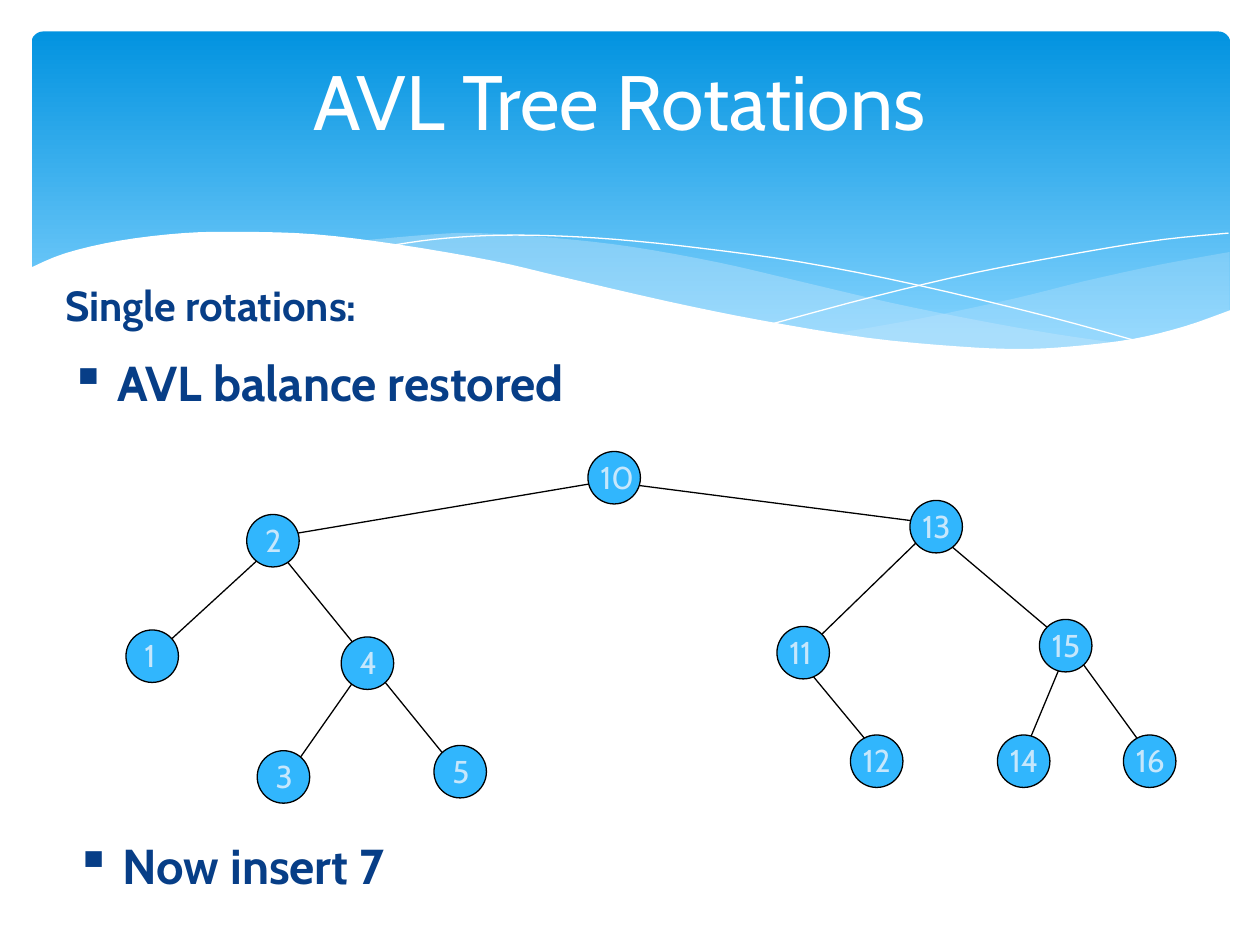
import pptx
import pptx.dml.color
import pptx.enum.shapes
import pptx.enum.text
import pptx.oxml
import pptx.oxml.ns
import pptx.util

Pt = pptx.util.Pt
Anchor = pptx.enum.text.MSO_ANCHOR
Align = pptx.enum.text.PP_ALIGN
Shapes = pptx.enum.shapes.MSO_SHAPE

FONT = "Cabin"
COLORS = {
    "sky_top": "0293E0",
    "sky_bottom": "83D3FE",
    "pale": "C6E7FC",
    "white": "FFFFFF",
    "navy": "073E87",
    "node": "31B6FD",
    "black": "000000",
}

# Banner curves, in points from the banner's top left corner
WAVE = [(-1.4, 135.4), (19.4, 126.7), (50.4, 119.5), (87, 115.2), (121, 114.5),
        (162, 115.9), (209.5, 121.7), (263.5, 131), (303.8, 140.4), (363, 154.1),
        (416.2, 164.9), (477.4, 175), (530, 180), (564.5, 181.4), (594, 180),
        (629.3, 175.7), (658.8, 168.5), (685.4, 159.1)]
LONG_BAND_TOP = [(188, 119.5), (229.7, 115.9), (255.6, 115.2), (300.2, 118.1),
                 (343.4, 123.1), (391.7, 131.8), (435, 141.8), (490.3, 154.8),
                 (540, 164.9), (584.6, 172.8), (625, 178.6)]
LONG_BAND_BOTTOM = [(625, 178.6), (599, 181.4), (571, 182.2), (538.6, 181.4),
                    (501.8, 179.3), (450, 172.1), (389.5, 160.6), (335.5, 149),
                    (289.4, 137.5), (242.6, 128.2), (188, 119.5)]
SHORT_BAND_TOP = [(458, 172.8), (507, 164.2), (561.6, 152.6), (602, 142.6),
                  (645, 133.2), (684.7, 126)]
SHORT_BAND_BOTTOM = [(684.7, 159.8), (650.2, 171.4), (616.3, 178.6), (583.2, 181.4),
                     (552, 181.4), (509, 179.3), (458, 172.8)]
FALLING_LINE = [(204.5, 122.4), (229.7, 118.8), (260.6, 116.6), (293.8, 116.6),
                (334, 118.8), (382.3, 123.8), (440, 131.8), (505.4, 144.7),
                (580.3, 162.7), (635, 177.8)]
RISING_LINE = [(423.4, 167), (482.4, 151.2), (540.7, 137.5), (605.5, 125.3),
               (647.3, 118.8), (684, 115.2)]

# Tree parts, in points from the tree's top left corner
NODE_SIZE = 30
NODES = {
    "10": (264, 0), "13": (448, 28), "15": (522, 96), "2": (69, 36),
    "11": (372, 100), "1": (0, 102), "4": (123, 106), "5": (176, 168),
    "12": (414, 162), "14": (498, 162), "16": (570, 162), "3": (75, 171),
}
EDGES = [
    ((138, 120), (96, 180)), ((84, 54), (12, 120)), ((540, 112), (588, 178)),
    ((384, 118), (432, 176)), ((282, 18), (468, 42)), ((90, 48), (280, 16)),
    ((540, 108), (510, 180)), ((80, 48), (192, 186)), ((462, 42), (396, 106)),
    ((462, 46), (540, 112)),
]


def color(name):
    return pptx.dml.color.RGBColor.from_string(COLORS[name])


def place(shape, box):
    shape.left, shape.top, shape.width, shape.height = map(Pt, box)


def write(paragraph, text, size, color_name, bold=False):
    run = paragraph.add_run()
    run.text = text
    run.font.name = FONT
    run.font.size = Pt(size)
    run.font.bold = bold
    run.font.color.rgb = color(color_name)


def set_bullet(paragraph, indent, character=None):
    """Give the paragraph a hanging indent and a bullet, or none."""
    properties = paragraph._p.get_or_add_pPr()
    properties.set("marL", str(Pt(indent)))
    properties.set("indent", str(-Pt(indent)))
    tag = "a:buChar" if character else "a:buNone"
    bullet = pptx.oxml.parse_xml(f"<{tag} {pptx.oxml.ns.nsdecls('a')}/>")
    if character:
        bullet.set("char", character)
    properties.append(bullet)


def smooth(points, steps=4):
    """Return a Catmull-Rom curve through the points."""
    padded = [points[0], *points, points[-1]]
    curve = [points[0]]
    for a, b, c, d in zip(padded, padded[1:], padded[2:], padded[3:]):
        for step in range(1, steps + 1):
            t = step / steps
            curve.append(tuple(
                (2 * q + (r - p) * t + (2 * p - 5 * q + 4 * r - s) * t ** 2
                 + (3 * q - p - 3 * r + s) * t ** 3) / 2
                for p, q, r, s in zip(a, b, c, d)))
    return curve


def add_outline(slide, box, points, close):
    start, *rest = [(Pt(box[0] + x), Pt(box[1] + y)) for x, y in points]
    builder = slide.shapes.build_freeform(*start, scale=1.0)
    builder.add_line_segments(rest, close=close)
    shape = builder.convert_to_shape()
    shape.shadow.inherit = False
    return shape


def add_area(slide, box, points, color_name, opacity=100):
    shape = add_outline(slide, box, points, True)
    shape.fill.solid()
    shape.fill.fore_color.rgb = color(color_name)
    shape.line.fill.background()
    if opacity < 100:
        fill_color = shape._element.spPr.find(".//" + pptx.oxml.ns.qn("a:srgbClr"))
        fill_color.append(pptx.oxml.parse_xml(
            f'<a:alpha {pptx.oxml.ns.nsdecls("a")} val="{opacity * 1000}"/>'))


def add_banner(slide, box):
    sky = slide.shapes.add_shape(Shapes.ROUNDED_RECTANGLE, *map(Pt, box))
    sky.adjustments[0] = 0.034
    sky.shadow.inherit = False
    sky.line.fill.background()
    sky.fill.gradient()
    sky.fill.gradient_angle = 270
    stops = zip(sky.fill.gradient_stops, (0, 0.9), ("sky_top", "sky_bottom"))
    for stop, position, name in stops:
        stop.position = position
        stop.color.rgb = color(name)

    add_area(slide, box, smooth(SHORT_BAND_TOP) + smooth(SHORT_BAND_BOTTOM), "pale", 29)
    add_area(slide, box, smooth(LONG_BAND_TOP) + smooth(LONG_BAND_BOTTOM), "pale", 40)
    for points in (FALLING_LINE, RISING_LINE):
        line = add_outline(slide, box, smooth(points), False)
        line.fill.background()
        line.line.color.rgb = color("white")
        line.line.width = Pt(0)
    base = [(WAVE[-1][0], 219), (WAVE[0][0], 219)]
    add_area(slide, box, smooth(WAVE) + base, "white")


def fill_placeholders(slide, title_box, body_box):
    title, body = slide.placeholders
    for shape, box in ((title, title_box), (body, body_box)):
        slide.shapes._spTree.append(shape._element)  # in front of the banner
        place(shape, box)
    title.text_frame.vertical_anchor = Anchor.MIDDLE
    paragraph = title.text_frame.paragraphs[0]
    paragraph.alignment = Align.CENTER
    write(paragraph, "AVL Tree Rotations", 44, "white")

    paragraph = body.text_frame.paragraphs[0]
    paragraph.space_before = Pt(4.8)
    set_bullet(paragraph, 21.6)
    write(paragraph, "Single rotations:", 24, "navy", bold=True)


def add_tree(slide, box):
    left, top = box[:2]
    for (x1, y1), (x2, y2) in EDGES:
        edge = slide.shapes.add_connector(
            pptx.enum.shapes.MSO_CONNECTOR.STRAIGHT,
            Pt(left + x1), Pt(top + y1), Pt(left + x2), Pt(top + y2))
        edge.line.color.rgb = color("black")
        edge.line.width = Pt(0.75)
        edge._element.spPr.append(pptx.oxml.parse_xml(
            f"<a:effectLst {pptx.oxml.ns.nsdecls('a')}/>"))
    for key, (x, y) in NODES.items():
        node = slide.shapes.add_shape(
            Shapes.OVAL, Pt(left + x), Pt(top + y), Pt(NODE_SIZE), Pt(NODE_SIZE))
        node.shadow.inherit = False
        node.fill.solid()
        node.fill.fore_color.rgb = color("node")
        node.line.color.rgb = color("black")
        node.line.width = Pt(0.75)
        shift = 3.5 if len(key) == 1 else 0
        label = slide.shapes.add_textbox(
            Pt(left + x + shift), Pt(top + y), Pt(36), Pt(29))
        label.text_frame.word_wrap = True
        label.text_frame.auto_size = pptx.enum.text.MSO_AUTO_SIZE.SHAPE_TO_FIT_TEXT
        write(label.text_frame.paragraphs[0], key, 18, "pale")


def add_bullet_line(slide, box, text):
    frame = slide.shapes.add_textbox(*map(Pt, box)).text_frame
    frame.word_wrap = True
    paragraph = frame.paragraphs[0]
    paragraph.space_before = Pt(5.6)
    set_bullet(paragraph, 27, "▪")
    write(paragraph, text, 28, "navy", bold=True)


def main():
    presentation = pptx.Presentation()
    presentation.slide_width, presentation.slide_height = Pt(720), Pt(540)
    slide = presentation.slides.add_slide(presentation.slide_layouts[1])
    add_banner(slide, (18, 18, 685, 194.4))
    fill_placeholders(slide, (48, 12, 612, 90), (30, 156, 276, 48))
    add_tree(slide, (72, 258, 600, 201))
    add_bullet_line(slide, (33, 198, 309, 48), "AVL balance restored")
    add_bullet_line(slide, (36, 474, 309, 48), "Now insert 7")
    presentation.save("out.pptx")


if __name__ == "__main__":
    main()
